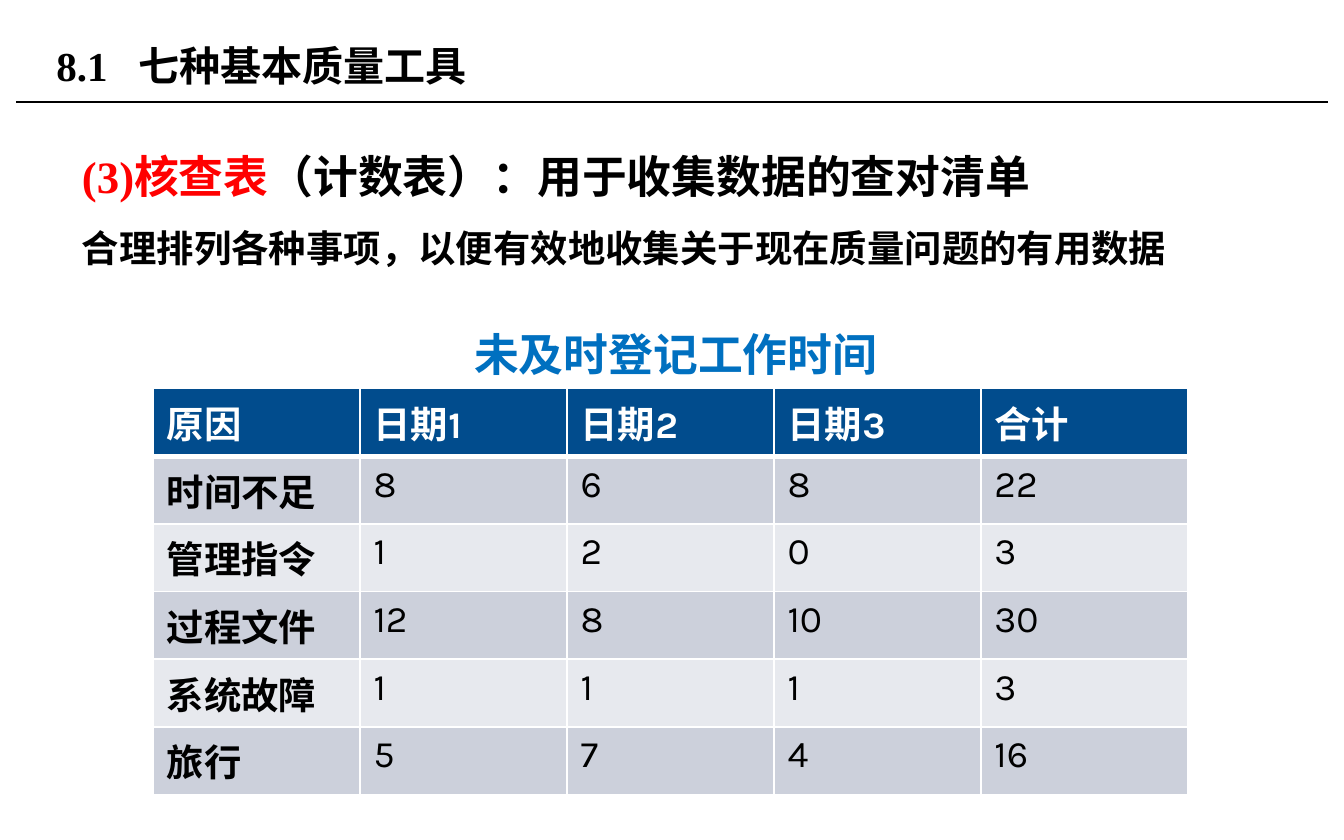
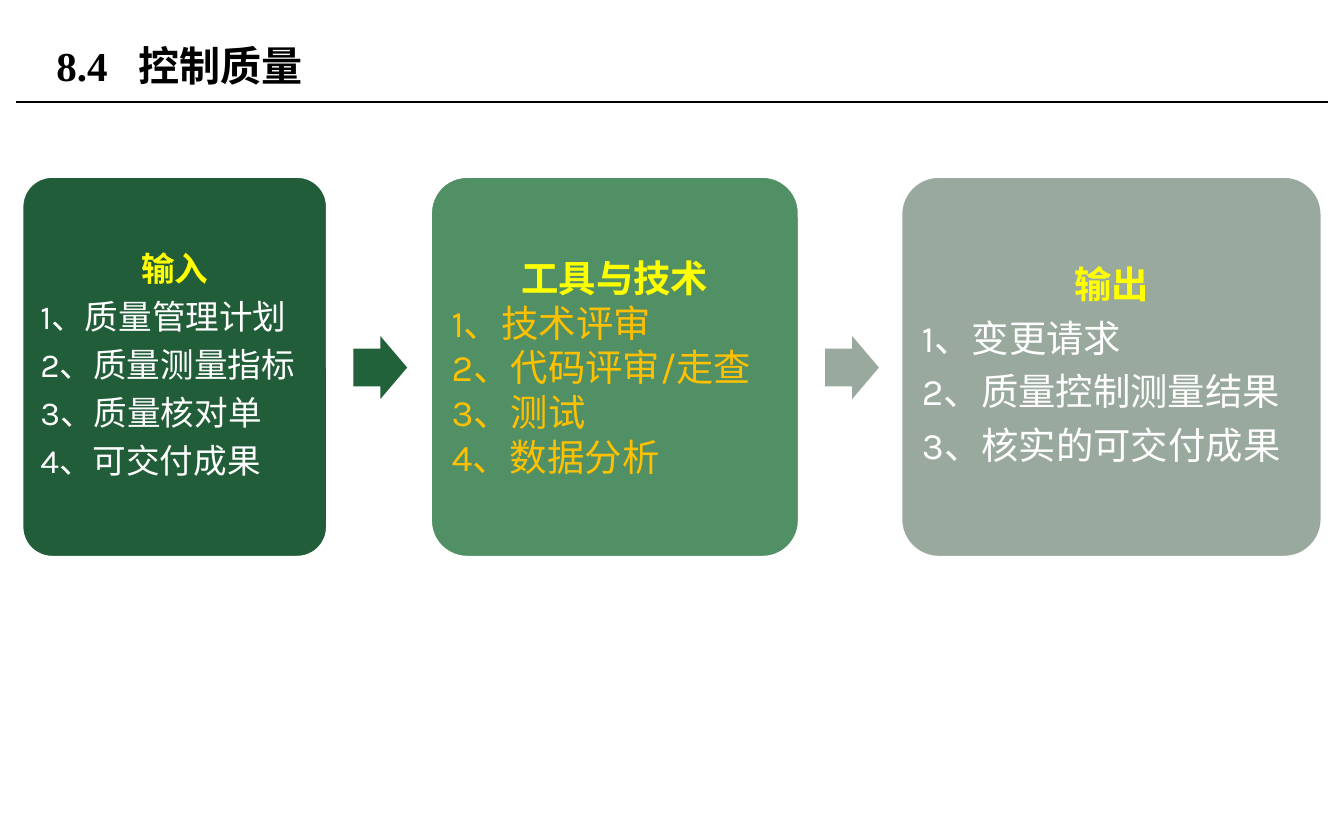
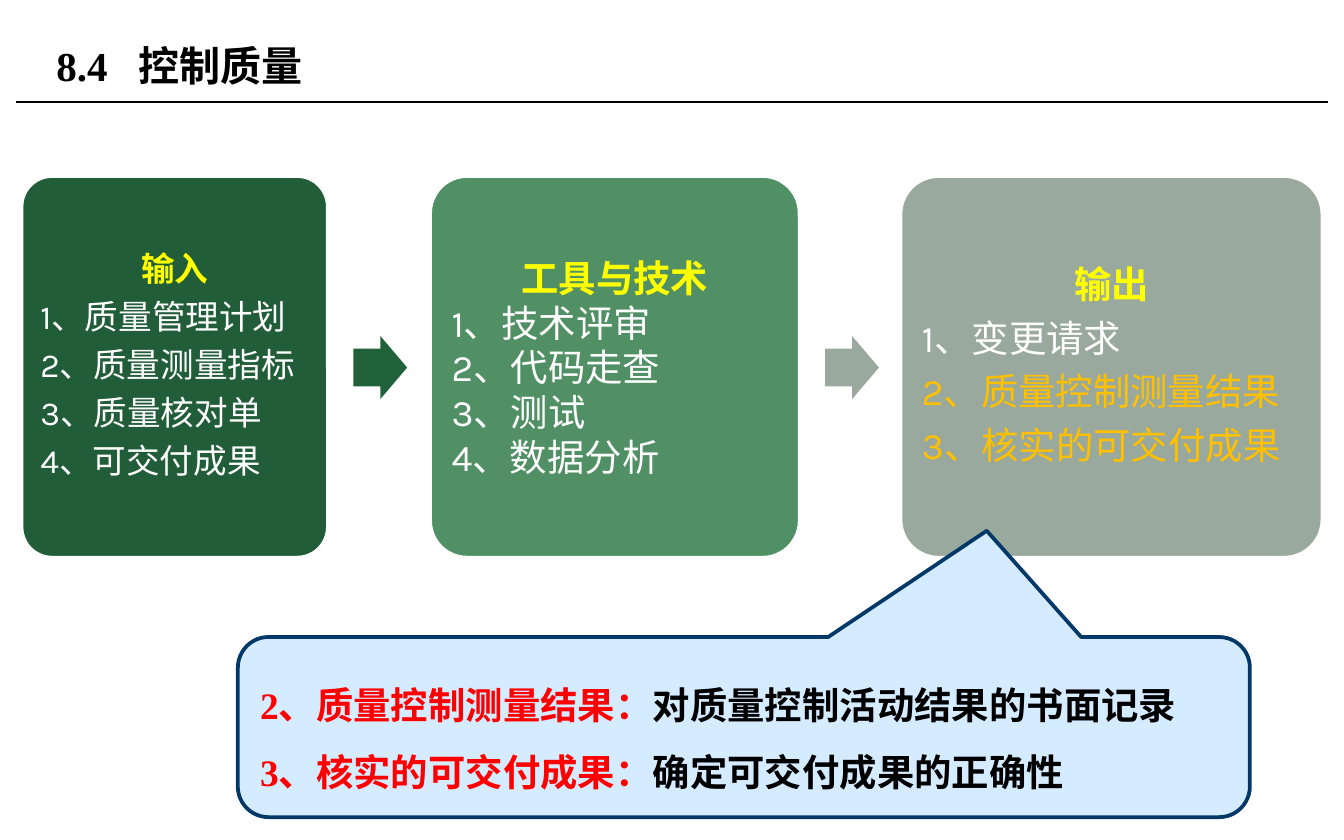
import dataclasses
import typing

import lxml.etree
import pptx
import pptx.dml.color
import pptx.enum.lang
import pptx.enum.shapes
import pptx.enum.text
import pptx.oxml.ns
import pptx.util

Inches = pptx.util.Inches
Pt = pptx.util.Pt
RGBColor = pptx.dml.color.RGBColor
Shapes = pptx.enum.shapes.MSO_SHAPE
Align = pptx.enum.text.PP_ALIGN
Anchor = pptx.enum.text.MSO_ANCHOR
qn = pptx.oxml.ns.qn

BLACK = RGBColor(0x00, 0x00, 0x00)
WHITE = RGBColor(0xFF, 0xFF, 0xFF)
RED = RGBColor(0xFF, 0x00, 0x00)
YELLOW = RGBColor(0xFF, 0xFF, 0x00)
ORANGE = RGBColor(0xFF, 0xC0, 0x00)
CAPTION_BLUE = RGBColor(0x00, 0x70, 0xC0)
HEADER_BLUE = RGBColor(0x01, 0x4C, 0x8D)
BAND_DARK = RGBColor(0xCC, 0xD0, 0xDB)
BAND_LIGHT = RGBColor(0xE7, 0xE9, 0xEE)
INPUT_GREEN = RGBColor(0x21, 0x5D, 0x38)
TOOLS_GREEN = RGBColor(0x51, 0x90, 0x65)
OUTPUT_GREY = RGBColor(0x9A, 0xA9, 0x9E)
DARK_ARROW = RGBColor(0x22, 0x62, 0x3B)
GREY_ARROW = RGBColor(0x99, 0xA9, 0x9D)
CALLOUT_FILL = RGBColor(0xD5, 0xEB, 0xFF)
CALLOUT_LINE = RGBColor(0x01, 0x38, 0x68)

SERIF = "Times New Roman"
SANS = "Karla"
CARD_TOP, CARD_HEIGHT = 1.31, 2.84
ARROW_TOP, ARROW_WIDTH, ARROW_HEIGHT = 2.5, 0.4, 0.47

TITLE_AND_CONTENT, TITLE_ONLY = 1, 5

CHECK_SHEET = [
    ["原因", "日期1", "日期2", "日期3", "合计"],
    ["时间不足", "8", "6", "8", "22"],
    ["管理指令", "1", "2", "0", "3"],
    ["过程文件", "12", "8", "10", "30"],
    ["系统故障", "1", "1", "1", "3"],
    ["旅行", "5", "7", "4", "16"],
]


class Item(typing.NamedTuple):
    text: str
    color: RGBColor = WHITE


@dataclasses.dataclass(frozen=True)
class Card:
    left: float
    width: float
    fill: RGBColor
    heading: str
    items: list[Item]
    size: int = 20
    inset: float = 0.08
    spaced: bool = True


@dataclasses.dataclass(frozen=True)
class Arrow:
    left: float
    fill: RGBColor


ARROWS = [Arrow(2.63, DARK_ARROW), Arrow(6.14, GREY_ARROW)]


def add_run(paragraph, text: str, *, size: float, color: RGBColor,
            bold: bool = True, font: str = SANS) -> None:
    run = paragraph.add_run()
    run.text = text
    run.font.size = Pt(size)
    run.font.color.rgb = color
    run.font.bold = bold
    run.font.name = font
    run.font.language_id = pptx.enum.lang.MSO_LANGUAGE_ID.SIMPLIFIED_CHINESE


def next_paragraph(frame):
    first = frame.paragraphs[0]
    return frame.add_paragraph() if first.runs else first


def place(shape, left: float, top: float, width: float, height: float) -> None:
    shape.left, shape.top = Inches(left), Inches(top)
    shape.width, shape.height = Inches(width), Inches(height)


def add_preset(slide, kind, left: float, top: float, width: float, height: float, *,
               fill: RGBColor, adjustments: list[float], line: RGBColor | None = None):
    shape = slide.shapes.add_shape(
        kind, Inches(left), Inches(top), Inches(width), Inches(height))
    shape.shadow.inherit = False
    shape.fill.solid()
    shape.fill.fore_color.rgb = fill
    for index, value in enumerate(adjustments):
        shape.adjustments[index] = value
    if line is None:
        shape.line.fill.background()
    else:
        shape.line.color.rgb = line
        shape.line.width = Pt(2)
    return shape


def add_titled_slide(presentation, layout: int, number: str, heading: str):
    slide = presentation.slides.add_slide(presentation.slide_layouts[layout])
    title = slide.shapes.title
    place(title, 0.32, 0.13, 6.38, 0.71)
    title.text_frame.vertical_anchor = Anchor.MIDDLE
    title.text_frame.auto_size = pptx.enum.text.MSO_AUTO_SIZE.NONE
    paragraph = title.text_frame.paragraphs[0]
    paragraph.alignment = Align.LEFT
    tabs = lxml.etree.SubElement(paragraph._p.get_or_add_pPr(), qn("a:tabLst"))
    lxml.etree.SubElement(tabs, qn("a:tab"), pos=str(Inches(0.61)), algn="l")
    add_run(paragraph, f"{number}\t{heading}", size=22, color=BLACK, font=SERIF)

    rule = slide.shapes.add_connector(
        pptx.enum.shapes.MSO_CONNECTOR.STRAIGHT,
        Inches(0.12), Inches(0.76), Inches(9.88), Inches(0.76))
    rule.line.color.rgb = BLACK
    rule.line.width = Pt(0.75)
    lxml.etree.SubElement(rule._element.spPr, qn("a:effectLst"))
    return slide


def add_definition(slide) -> None:
    body = slide.placeholders[1]
    place(body, 0.51, 0.86, 8.98, 3.9)
    frame = body.text_frame
    frame.auto_size = pptx.enum.text.MSO_AUTO_SIZE.NONE
    lines = [
        [("(3)核查表", RED, 24), ("（计数表）：用于收集数据的查对清单", BLACK, 24)],
        [("合理排列各种事项，以便有效地收集关于现在质量问题的有用数据", BLACK, 20)],
    ]
    for line in lines:
        paragraph = next_paragraph(frame)
        properties = paragraph._p.get_or_add_pPr()
        properties.set("marL", "0")
        properties.set("indent", "0")
        lxml.etree.SubElement(properties, qn("a:buNone"))
        paragraph.line_spacing = 1.5
        paragraph.space_before = Pt(0)
        for text, color, size in line:
            add_run(paragraph, text, size=size, color=color, font=SERIF)


def set_borders(cell, **widths: float) -> None:
    properties = cell._tc.get_or_add_tcPr()
    for index, (side, width) in enumerate(widths.items()):
        border = lxml.etree.Element(qn(f"a:{side}"), w=str(Pt(width)))
        fill = lxml.etree.SubElement(border, qn("a:solidFill"))
        lxml.etree.SubElement(fill, qn("a:srgbClr"), val=str(WHITE))
        properties.insert(index, border)


def add_check_sheet(slide) -> None:
    row_count, column_count = len(CHECK_SHEET), len(CHECK_SHEET[0])
    table = slide.shapes.add_table(
        row_count, column_count, Inches(1.14), Inches(2.89),
        Inches(1.54 * column_count), Inches(0.5 * row_count)).table
    for row, values in enumerate(CHECK_SHEET):
        header = row == 0
        fill = HEADER_BLUE if header else BAND_DARK if row % 2 else BAND_LIGHT
        for column, value in enumerate(values):
            cell = table.cell(row, column)
            cell.fill.solid()
            cell.fill.fore_color.rgb = fill
            set_borders(cell, lnL=1, lnR=1, lnT=3 if row == 1 else 1,
                        lnB=3 if header else 1)
            add_run(cell.text_frame.paragraphs[0], value, size=20,
                    color=WHITE if header else BLACK, bold=header or column == 0)


def add_caption(slide, text: str) -> None:
    caption = slide.shapes.add_textbox(
        Inches(3.43), Inches(2.38), Inches(3.23), Inches(0.5))
    frame = caption.text_frame
    frame.word_wrap = False
    frame.auto_size = pptx.enum.text.MSO_AUTO_SIZE.SHAPE_TO_FIT_TEXT
    add_run(frame.paragraphs[0], text, size=24, color=CAPTION_BLUE)


def add_card(slide, card: Card) -> None:
    add_preset(slide, Shapes.ROUNDED_RECTANGLE, card.left, CARD_TOP, card.width,
               CARD_HEIGHT, fill=card.fill, adjustments=[0.1], line=WHITE)
    inset = card.inset
    box = slide.shapes.add_textbox(
        Inches(card.left + inset), Inches(CARD_TOP + inset),
        Inches(card.width - 2 * inset), Inches(CARD_HEIGHT - 2 * inset))
    frame = box.text_frame
    frame.word_wrap = True
    frame.vertical_anchor = Anchor.MIDDLE
    frame.margin_left = frame.margin_right = Inches(inset)
    frame.margin_top = frame.margin_bottom = Inches(inset)
    for index, item in enumerate([Item(card.heading, YELLOW), *card.items]):
        heading = index == 0
        paragraph = next_paragraph(frame)
        paragraph.alignment = Align.CENTER if heading else Align.LEFT
        if card.spaced:
            paragraph.line_spacing = 0.9
            paragraph.space_after = Pt(0.35 * card.size)
        add_run(paragraph, item.text, size=card.size, color=item.color, bold=heading)


def add_process(slide, tools: list[Item], outputs: list[Item]) -> None:
    inputs = [Item("1、质量管理计划"), Item("2、质量测量指标"),
              Item("3、质量核对单"), Item("4、可交付成果")]
    cards = [
        Card(0.16, 2.28, INPUT_GREEN, "输入", inputs, size=18, inset=0.07),
        Card(3.2, 2.75, TOOLS_GREEN, "工具与技术", tools, spaced=False),
        Card(6.7, 3.14, OUTPUT_GREY, "输出", outputs),
    ]
    for card in cards:
        add_card(slide, card)
    for arrow in ARROWS:
        add_preset(slide, Shapes.RIGHT_ARROW, arrow.left, ARROW_TOP, ARROW_WIDTH,
                   ARROW_HEIGHT, fill=arrow.fill, adjustments=[0.6, 0.5])


def add_output_callout(slide) -> None:
    callout = add_preset(
        slide, Shapes.ROUNDED_RECTANGULAR_CALLOUT, 1.77, 4.74, 7.53, 1.34,
        fill=CALLOUT_FILL, adjustments=[0.24, -1.09, 0.17], line=CALLOUT_LINE)
    frame = callout.text_frame
    frame.vertical_anchor = Anchor.MIDDLE
    explanations = [
        ("2、质量控制测量结果：", "对质量控制活动结果的书面记录"),
        ("3、核实的可交付成果：", "确定可交付成果的正确性"),
    ]
    for term, meaning in explanations:
        paragraph = next_paragraph(frame)
        paragraph.alignment = Align.LEFT
        paragraph.line_spacing = 1.5
        add_run(paragraph, term, size=20, color=RED, font=SERIF)
        add_run(paragraph, meaning, size=20, color=BLACK, font=SERIF)


def main() -> None:
    presentation = pptx.Presentation()
    presentation.slide_width = Inches(10)
    presentation.slide_height = Inches(6.25)

    check_slide = add_titled_slide(
        presentation, TITLE_AND_CONTENT, "8.1", "七种基本质量工具")
    add_definition(check_slide)
    add_check_sheet(check_slide)
    add_caption(check_slide, "未及时登记工作时间")

    tools_slide = add_titled_slide(presentation, TITLE_ONLY, "8.4", "控制质量")
    add_process(
        tools_slide,
        tools=[Item("1、技术评审", ORANGE), Item("2、代码评审/走查", ORANGE),
               Item("3、测试", ORANGE), Item("4、数据分析", ORANGE)],
        outputs=[Item("1、变更请求"), Item("2、质量控制测量结果"),
                 Item("3、核实的可交付成果")])

    outputs_slide = add_titled_slide(presentation, TITLE_ONLY, "8.4", "控制质量")
    add_process(
        outputs_slide,
        tools=[Item("1、技术评审"), Item("2、代码走查"),
               Item("3、测试"), Item("4、数据分析")],
        outputs=[Item("1、变更请求"), Item("2、质量控制测量结果", ORANGE),
                 Item("3、核实的可交付成果", ORANGE)])
    add_output_callout(outputs_slide)

    presentation.save("out.pptx")


if __name__ == "__main__":
    main()
